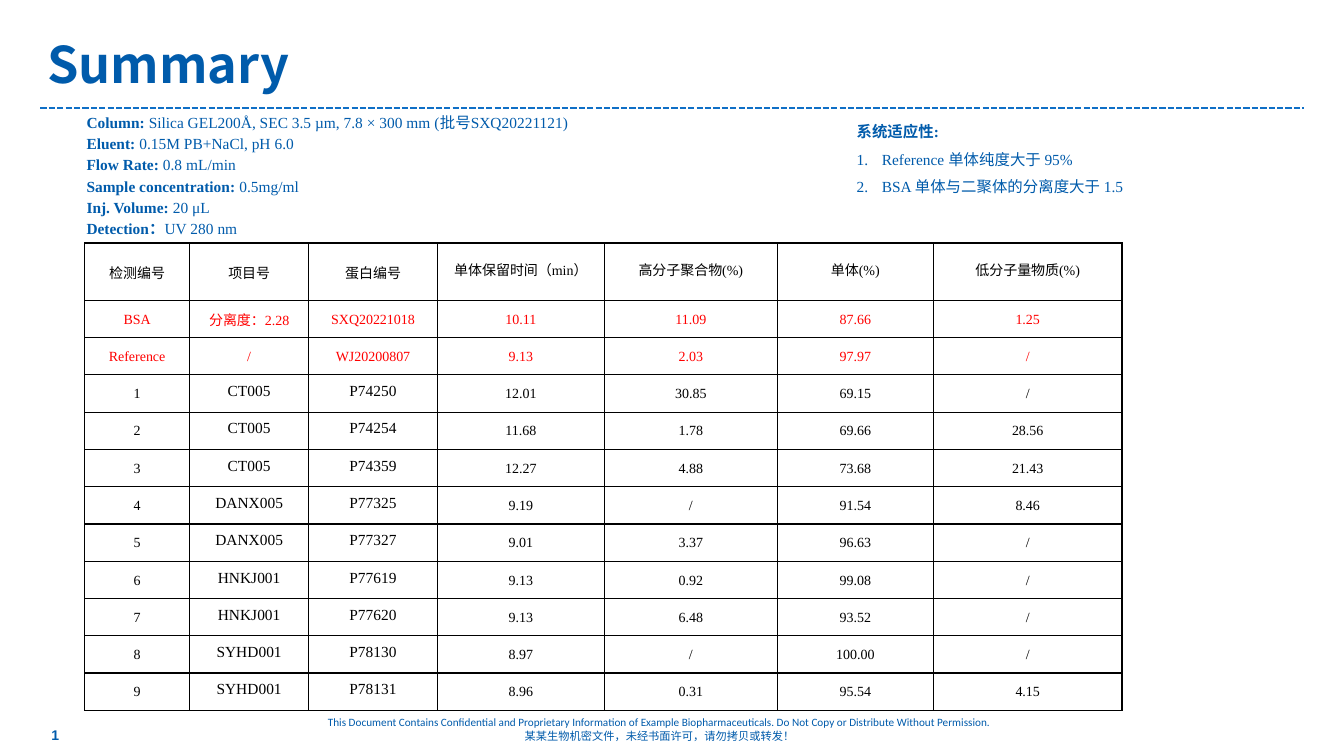
from lxml.etree import SubElement
from pptx import Presentation
from pptx.dml.color import RGBColor
from pptx.enum.dml import MSO_LINE
from pptx.enum.shapes import MSO_CONNECTOR
from pptx.enum.text import MSO_ANCHOR, MSO_AUTO_SIZE, PP_ALIGN
from pptx.oxml import parse_xml
from pptx.oxml.ns import nsdecls, qn
from pptx.util import Inches, Pt

WIDTH, HEIGHT = Inches(13.333), Inches(7.5)
BLUE, RED, BLACK, RULE_BLUE = "005BAB", "FF0000", "000000", "0F6FC6"
SERIF, CJK = "Times New Roman", "Noto Sans CJK SC"

CONDITIONS = [
    ("Column: ", "Silica GEL200Å, SEC 3.5 µm, 7.8 × 300 mm (批号SXQ20221121)"),
    ("Eluent: ", "0.15M PB+NaCl, pH 6.0"),
    ("Flow Rate: ", "0.8 mL/min"),
    ("Sample concentration: ", "0.5mg/ml"),
    ("Inj. Volume: ", "20 μL"),
    ("Detection：", "UV 280 nm"),
]
SUITABILITY = ["Reference 单体纯度大于 95%", "BSA 单体与二聚体的分离度大于 1.5"]
HEADERS = ["检测编号", "项目号", "蛋白编号", "单体保留时间（min）",
           "高分子聚合物(%)", "单体(%)", "低分子量物质(%)"]
CONTROLS = [
    ["BSA", "分离度：2.28", "SXQ20221018", "10.11", "11.09", "87.66", "1.25"],
    ["Reference", "/", "WJ20200807", "9.13", "2.03", "97.97", "/"],
]
SAMPLES = [
    ["CT005", "P74250", "12.01", "30.85", "69.15", "/"],
    ["CT005", "P74254", "11.68", "1.78", "69.66", "28.56"],
    ["CT005", "P74359", "12.27", "4.88", "73.68", "21.43"],
    ["DANX005", "P77325", "9.19", "/", "91.54", "8.46"],
    ["DANX005", "P77327", "9.01", "3.37", "96.63", "/"],
    ["HNKJ001", "P77619", "9.13", "0.92", "99.08", "/"],
    ["HNKJ001", "P77620", "9.13", "6.48", "93.52", "/"],
    ["SYHD001", "P78130", "8.97", "/", "100.00", "/"],
    ["SYHD001", "P78131", "8.96", "0.31", "95.54", "4.15"],
]
COLUMN_SHARES = [7.8, 8.88, 9.55, 12.45, 12.85, 11.63, 14.03]
HEADER_SHARE, ROW_SHARE = 7.6, 4.93


def across(percent):
    """Length as a percentage of the slide width."""
    return round(WIDTH * percent / 100)


def down(percent):
    """Length as a percentage of the slide height."""
    return round(HEIGHT * percent / 100)


def color(hex_string):
    return RGBColor.from_string(hex_string)


def assign(target, values):
    for name, value in values.items():
        setattr(target, name, value)


def add_run(paragraph, words, size, face=SERIF, ink=BLUE, bold=False):
    run = paragraph.add_run()
    run.text = words
    assign(run.font, {"name": face, "size": Pt(size), "bold": bold})
    run.font.color.rgb = color(ink)
    SubElement(run.font._element, qn("a:ea"), typeface=CJK)


def add_text(slide, left, top, width, height, **frame_format):
    """Return the paragraph maker of a new text box placed in slide percentages."""
    frame = slide.shapes.add_textbox(
        across(left), down(top), across(width), down(height)).text_frame
    assign(frame, {"word_wrap": True, **frame_format})
    unused = [frame.paragraphs[0]]

    def next_paragraph(**paragraph_format):
        paragraph = unused.pop() if unused else frame.add_paragraph()
        assign(paragraph, paragraph_format)
        return paragraph

    return next_paragraph


def number_paragraph(paragraph):
    properties = paragraph._p.get_or_add_pPr()
    indent = Inches(0.25)
    properties.set("marL", str(indent))
    properties.set("indent", str(-indent))
    SubElement(properties, qn("a:buFont"), typeface=SERIF)
    SubElement(properties, qn("a:buAutoNum"), type="arabicPeriod")


def add_rule(slide):
    rule = slide.shapes.add_connector(
        MSO_CONNECTOR.STRAIGHT, across(3), down(14.27), across(97), down(14.27))
    assign(rule.line, {"width": Pt(1.5), "dash_style": MSO_LINE.SQUARE_DOT})
    rule.line.color.rgb = color(RULE_BLUE)
    SubElement(rule._element.spPr, qn("a:effectLst"))


def add_borders(cell):
    properties = cell._tc.get_or_add_tcPr()
    for order, side in enumerate("LRTB"):
        properties.insert(order, parse_xml(
            f'<a:ln{side} {nsdecls("a")} w="{Pt(1)}"><a:solidFill>'
            f'<a:srgbClr val="{BLACK}"/></a:solidFill></a:ln{side}>'))


def fill_cell(cell, words, row, column):
    is_wide_header = row == 0 and column > 2
    is_sample_code = row > len(CONTROLS) and column in (1, 2)
    side = Inches(0.07 if is_wide_header else 0.01)
    assign(cell, {
        "vertical_anchor": MSO_ANCHOR.MIDDLE,
        "margin_left": side,
        "margin_right": side,
        "margin_top": Inches(0 if is_wide_header else 0.01),
        "margin_bottom": Inches(0.05 if is_sample_code else 0),
    })
    cell.fill.background()
    add_borders(cell)
    paragraph = cell.text_frame.paragraphs[0]
    paragraph.alignment = PP_ALIGN.CENTER
    if is_wide_header:
        paragraph.line_spacing = Pt(12)
    add_run(paragraph, words, 11 if is_sample_code else 10,
            ink=RED if 1 <= row <= len(CONTROLS) else BLACK)


def add_results(slide):
    numbered = [[str(number), *sample] for number, sample in enumerate(SAMPLES, 1)]
    records = [HEADERS, *CONTROLS, *numbered]
    row_shares = [HEADER_SHARE] + [ROW_SHARE] * (len(records) - 1)
    results = slide.shapes.add_table(
        len(records), len(HEADERS), across(6.3), down(32.13),
        across(sum(COLUMN_SHARES)), down(sum(row_shares))).table
    assign(results, {"first_row": False, "horz_banding": False})
    for column, share in zip(results.columns, COLUMN_SHARES):
        column.width = across(share)
    for row, share in zip(results.rows, row_shares):
        row.height = down(share)
    for row, record in enumerate(records):
        for column, words in enumerate(record):
            fill_cell(results.cell(row, column), words, row, column)


def add_conditions(slide):
    next_paragraph = add_text(slide, 5.7, 14.27, 39.83, 22.93,
                              auto_size=MSO_AUTO_SIZE.SHAPE_TO_FIT_TEXT)
    for label, setting in CONDITIONS:
        paragraph = next_paragraph(space_before=Pt(2))
        add_run(paragraph, label, 11, bold=True)
        add_run(paragraph, setting, 11)


def add_suitability(slide):
    next_paragraph = add_text(slide, 63, 14.27, 24.83, 12,
                              auto_size=MSO_AUTO_SIZE.SHAPE_TO_FIT_TEXT)
    add_run(next_paragraph(line_spacing=1.5), "系统适应性:", 11, bold=True)
    for criterion in SUITABILITY:
        paragraph = next_paragraph(line_spacing=1.5)
        number_paragraph(paragraph)
        add_run(paragraph, criterion, 11)


def add_footer(slide):
    next_paragraph = add_text(slide, 15.75, 94, 66.68, 6)
    notices = [
        ("This Document Contains Confidential and Proprietary Information of Example "
         "Biopharmaceuticals. Do Not Copy or Distribute Without Permission.", "Calibri"),
        ("某某生物机密文件，未经书面许可，请勿拷贝或转发！", CJK),
    ]
    for notice, face in notices:
        add_run(next_paragraph(alignment=PP_ALIGN.CENTER), notice, 8, face)
    page_number = add_text(slide, 3.08, 94.53, 9.45, 5.33,
                           vertical_anchor=MSO_ANCHOR.MIDDLE)
    add_run(page_number(), "1", 10, "Arial", bold=True)


def main():
    deck = Presentation()
    assign(deck, {"slide_width": WIDTH, "slide_height": HEIGHT})
    slide = deck.slides.add_slide(deck.slide_layouts[6])
    add_rule(slide)
    add_footer(slide)
    title = add_text(slide, 2.78, 1.73, 74.33, 13.2, vertical_anchor=MSO_ANCHOR.MIDDLE)
    add_run(title(), "Summary", 36, CJK, bold=True)
    add_conditions(slide)
    add_suitability(slide)
    add_results(slide)
    deck.save("out.pptx")


if __name__ == "__main__":
    main()
